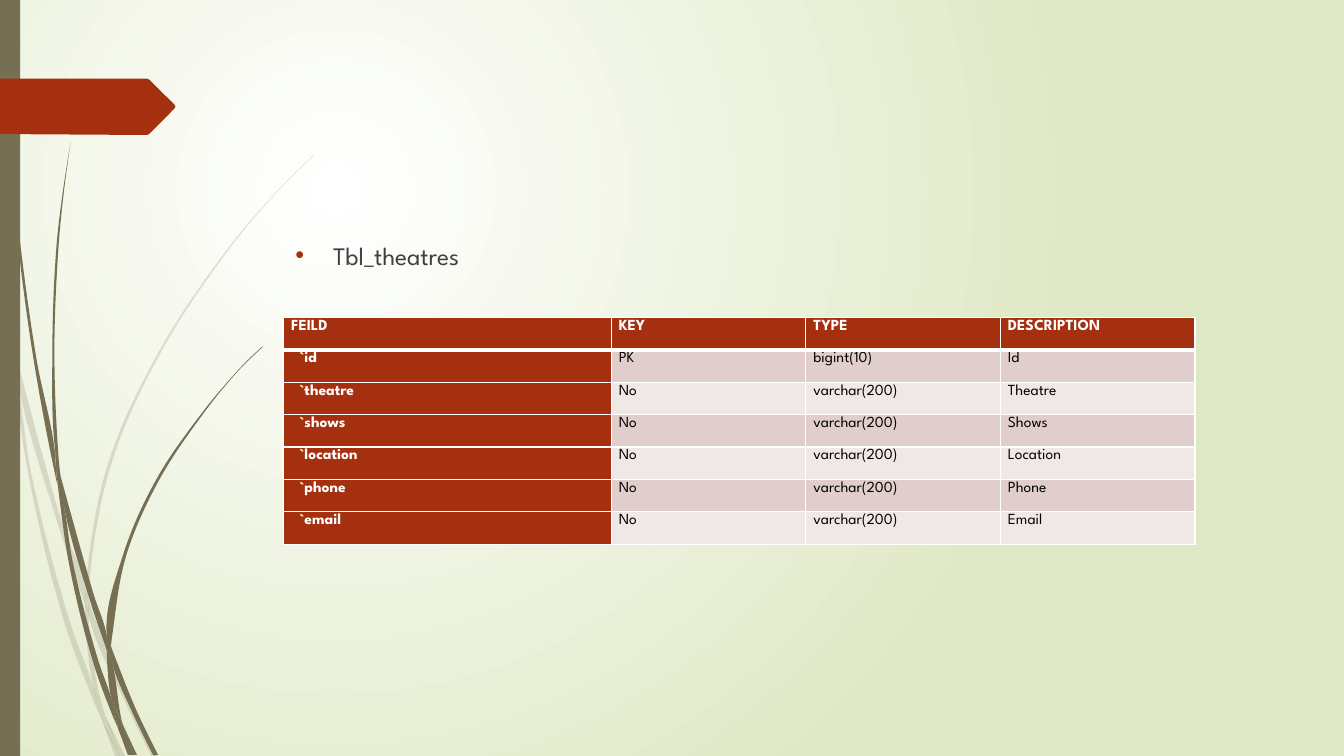
from dataclasses import dataclass
from itertools import product
from math import dist

from lxml.etree import SubElement
from pptx import Presentation
from pptx.dml.color import RGBColor
from pptx.enum.shapes import MSO_SHAPE as Preset
from pptx.oxml.ns import qn
from pptx.shapes.autoshape import Shape
from pptx.slide import Slide
from pptx.table import _Cell as Cell
from pptx.text.text import _Paragraph as Paragraph
from pptx.util import Pt

FONT = "League Spartan"
OLIVE, RUST, WHITE, BLACK = "766F54", "A53010", "FFFFFF", "000000"
BANDS = ("E1CDCC", "F0E8E7")
SLIDE_WIDTH, SLIDE_HEIGHT = 960, 540
CORNER_COSINE = 0.8

Point = tuple[float, float]


@dataclass(frozen=True)
class Grass:
    """A tuft of grass: the closed outlines of its pieces and their opacity."""
    opacity: int
    outlines: list[list[Point]]


PALE_GRASS = Grass(20, [
    [(7.9, 252), (6.5, 231.8), (0, 203), (0, 215.3), (7.2, 247.7)],
    [(41.8, 375.8), (60.5, 431.3), (61.2, 421.9), (44.6, 374.4), (10.1, 248.4), (12.2, 270.7)],
    [(66.2, 437), (63.4, 429.1), (63.4, 439.2), (88.6, 499.7), (108, 540), (111.6, 540),
     (91.4, 498.2)],
    [(85.7, 540), (89.3, 540), (75.6, 511.9)],
    [(67, 491.8), (50.4, 445.7), (22.3, 337.7), (12.2, 270.7), (7.9, 252), (20.2, 338.4),
     (46.8, 447.1), (66.2, 499), (72.7, 514.1), (71.3, 509)],
    [(60.5, 431.3), (62.6, 465.1), (67, 491.8), (69.1, 498.2), (75.6, 511.9), (74.2, 508.3),
     (65.5, 465.1), (63.4, 439.2), (63.4, 437.8)],
    [(63.4, 420.5), (79.2, 332.6), (115.2, 251.3), (164.9, 176.4), (193, 142.6), (208.8, 126),
     (224.6, 110.9), (224.6, 110.2), (208.1, 126), (193, 141.8), (164.2, 175.7),
     (113.8, 250.6), (77, 331.9), (61.2, 420.5), (61.2, 421.9), (63.4, 429.1)],
    [(72.7, 514.1), (82.1, 540), (85.7, 540)],
    [(63.4, 437.8), (63.4, 439.2), (63.4, 429.1), (61.2, 421.9), (60.5, 431.3)],
    [(69.1, 498.2), (67, 491.8), (71.3, 509), (72.7, 514.1), (85.7, 540), (75.6, 511.9)],
])
DARK_GRASS = Grass(100, [
    [(5, 79.2), (12.2, 167.8), (23.8, 255.6), (40.3, 343.4), (41, 346.3), (39.6, 329),
     (39.6, 326.2), (25.9, 255.6), (13.7, 167), (5.8, 78.5), (3.6, 34.6), (2.9, 0),
     (2.2, 0), (2.9, 34.6)],
    [(63.4, 426.2), (76.3, 464.4), (76.3, 455.8), (76.3, 454.3), (67, 424.8), (43.2, 339.8),
     (46.1, 363.6)],
    [(81.4, 467.3), (79.2, 461.5), (79.9, 472.3), (95, 509.8), (109.4, 539.3),
     (113, 539.3), (97.9, 508.3)],
    [(79.2, 497.5), (70.6, 473), (51.8, 400.3), (46.1, 363.6), (41, 343.4), (49, 401),
     (67, 474.5), (79.9, 509.8), (84.2, 519.8), (83.5, 516.2)],
    [(43.2, 339.8), (41.8, 326.2), (38.9, 251.3), (41.8, 176.4), (45.4, 139), (50.4, 101.5),
     (44.6, 139), (40.3, 176.4), (37.4, 251.3), (39.6, 323.3)],
    [(95.8, 539.3), (97.9, 539.3), (87.8, 517.7)],
    [(41, 343.4), (46.1, 363.6), (43.2, 339.8), (39.6, 323.3), (39.6, 326.2)],
    [(79.9, 455.8), (90, 397.4), (113.8, 342.7), (147.6, 292.3), (166.3, 269.3),
     (176.4, 258.5), (187.9, 247.7), (187.2, 247.7), (176.4, 257.8), (166.3, 268.6),
     (146.9, 291.6), (112.3, 341.3), (87.8, 396.7), (76.3, 454.3), (79.2, 461.5)],
    [(84.2, 519.8), (91.4, 539.3), (94.3, 539.3)],
    [(76.3, 464.4), (79.2, 497.5), (83.5, 508.3), (87.8, 517.7), (87.1, 515.5),
     (79.9, 472.3), (78.5, 468.7)],
    [(76.3, 464.4), (78.5, 468.7), (79.9, 472.3), (79.2, 461.5), (76.3, 454.3),
     (76.3, 455.8)],
    [(83.5, 508.3), (79.2, 497.5), (83.5, 516.2), (84.2, 519.8), (93.6, 539.3),
     (95.8, 539.3), (87.8, 517.7)],
])
ARROW = [(124.8, 77.4), (106.6, 95.8), (105.1, 96.4), (97.9, 96.4), (0, 95.8), (0, 56.2),
         (97.9, 56.2), (105.1, 56.2), (106.6, 56.9), (124.8, 74.9), (125.3, 76.2)]

COLUMN_WIDTHS = (234, 139, 139, 139)
ROW_HEIGHT = 23.14
ROWS = [
    ("FEILD", "KEY", "TYPE", "DESCRIPTION"),
    ("`id", "PK", "bigint(10)", "Id"),
    *((f"`{name}", "No", "varchar(200)", name.capitalize())
      for name in ("theatre", "shows", "location", "phone", "email")),
]


def color(value: str) -> RGBColor:
    return RGBColor.from_string(value)


def add_text(paragraph: Paragraph, text: str, *, size: float, ink: str,
             bold: bool = False, line_spacing: float = 1, space_before: float = 0) -> None:
    run = paragraph.add_run()
    run.text = text
    run.font.name = FONT
    run.font.size = Pt(size)
    run.font.bold = bold
    run.font.color.rgb = color(ink)
    paragraph.line_spacing = line_spacing
    paragraph.space_before = Pt(space_before)


def paint(shape: Shape, fill: str, opacity: int = 100) -> None:
    shape.shadow.inherit = False
    shape.line.fill.background()
    shape.fill.solid()
    shape.fill.fore_color.rgb = color(fill)
    if opacity < 100:
        solid = shape.fill._xPr.find(qn("a:solidFill"))
        SubElement(solid[0], qn("a:alpha"), val=str(opacity * 1000))


def add_outline(slide: Slide, points: list[Point]) -> Shape:
    corners = [(Pt(x), Pt(y)) for x, y in [*points, points[0]]]
    builder = slide.shapes.build_freeform(*corners[0])
    builder.add_line_segments(corners[1:], close=True)
    return builder.convert_to_shape()


def direction(before: Point, point: Point, after: Point) -> Point:
    """Give the unit tangent at a point, or zero where the outline turns sharply."""
    incoming = [(b - a) / dist(before, point) for a, b in zip(before, point)]
    outgoing = [(b - a) / dist(point, after) for a, b in zip(point, after)]
    if sum(a * b for a, b in zip(incoming, outgoing)) < CORNER_COSINE:
        return 0, 0
    x, y = (a + b for a, b in zip(incoming, outgoing))
    length = dist((0, 0), (x, y))
    return x / length, y / length


def bend(shape: Shape, points: list[Point]) -> None:
    """Turn the straight sides of an outline into smooth Bezier curves."""
    following = [*points[1:], points[0]]
    tangents = [direction(*three) for three in zip([points[-1], *points], points, following)]
    sides = list(shape._element.iter(qn("a:lnTo")))
    for side, start, end, leaving, arriving in zip(
            sides, points, following, tangents, [*tangents[1:], tangents[0]]):
        reach = dist(start, end) / 3
        side.tag = qn("a:cubicBezTo")
        end_point = side[0]
        for (x, y), (dx, dy), handle in ((start, leaving, reach), (end, arriving, -reach)):
            SubElement(side, qn("a:pt"), x=str(Pt(x + dx * handle) - shape.left),
                       y=str(Pt(y + dy * handle) - shape.top))
        side.append(end_point)


def set_background(slide: Slide) -> None:
    """Spread white to pale green in circles from the upper left quarter."""
    fill = slide.background.fill
    fill.gradient()
    for stop, value in zip(fill.gradient_stops, (WHITE, "DFE8C4")):
        stop.color.rgb = color(value)
    gradient = slide.element.find(".//" + qn("a:gradFill"))
    gradient.remove(gradient.find(qn("a:lin")))
    circle = SubElement(gradient, qn("a:path"), path="circle")
    SubElement(circle, qn("a:fillToRect"), l="50000", t="50000", r="100000", b="100000")


def add_decoration(slide: Slide) -> None:
    for grass in (PALE_GRASS, DARK_GRASS):
        for points in grass.outlines:
            piece = add_outline(slide, points)
            bend(piece, points)
            paint(piece, OLIVE, grass.opacity)
    side_bar = slide.shapes.add_shape(Preset.RECTANGLE, 0, 0, Pt(14.4), Pt(SLIDE_HEIGHT))
    paint(side_bar, OLIVE)
    paint(add_outline(slide, ARROW), RUST)


def add_heading(slide: Slide) -> None:
    box = slide.shapes.add_textbox(Pt(203.8), Pt(167.8), Pt(702), Pt(297.4))
    box.text_frame.word_wrap = True
    paragraph = box.text_frame.paragraphs[0]
    add_text(paragraph, "Tbl_theatres", size=18, ink="404040", space_before=10)
    properties = paragraph._p.get_or_add_pPr()
    properties.set("marL", str(Pt(27)))
    properties.set("indent", str(Pt(-27)))
    bullet_color = SubElement(properties, qn("a:buClr"))
    SubElement(bullet_color, qn("a:srgbClr"), val=RUST)
    SubElement(properties, qn("a:buFont"), typeface="Arial")
    SubElement(properties, qn("a:buChar"), char="•")


def set_borders(cell: Cell, **widths: float) -> None:
    for side, width in widths.items():
        line = SubElement(cell._tc.get_or_add_tcPr(), qn(f"a:ln{side}"), w=str(Pt(width)))
        solid = SubElement(line, qn("a:solidFill"))
        SubElement(solid, qn("a:srgbClr"), val=WHITE)


def add_field_table(slide: Slide) -> None:
    frame = slide.shapes.add_table(len(ROWS), len(COLUMN_WIDTHS), Pt(202.6), Pt(226.8),
                                   Pt(sum(COLUMN_WIDTHS)), Pt(ROW_HEIGHT * len(ROWS)))
    table = frame.table
    for column, width in zip(table.columns, COLUMN_WIDTHS):
        column.width = Pt(width)
    for row in table.rows:
        row.height = Pt(ROW_HEIGHT)
    for i, j in product(range(len(ROWS)), range(len(COLUMN_WIDTHS))):
        cell = table.cell(i, j)
        is_header = i == 0
        is_strong = is_header or j == 0
        cell.margin_left = Pt(5.4 if is_header or j else 11.2)
        cell.margin_right = Pt(5.4)
        cell.margin_top = cell.margin_bottom = 0
        set_borders(cell, L=1, R=1, T=3 if i == 1 else 1, B=3 if is_header else 1)
        cell.fill.solid()
        cell.fill.fore_color.rgb = color(RUST if is_strong else BANDS[(i - 1) % 2])
        add_text(cell.text_frame.paragraphs[0], ROWS[i][j], size=11, bold=is_strong,
                 ink=WHITE if is_strong else BLACK, line_spacing=1.15)


def main() -> None:
    presentation = Presentation()
    presentation.slide_width = Pt(SLIDE_WIDTH)
    presentation.slide_height = Pt(SLIDE_HEIGHT)
    slide = presentation.slides.add_slide(presentation.slide_layouts[6])
    set_background(slide)
    add_decoration(slide)
    add_heading(slide)
    add_field_table(slide)
    presentation.save("out.pptx")


if __name__ == "__main__":
    main()
